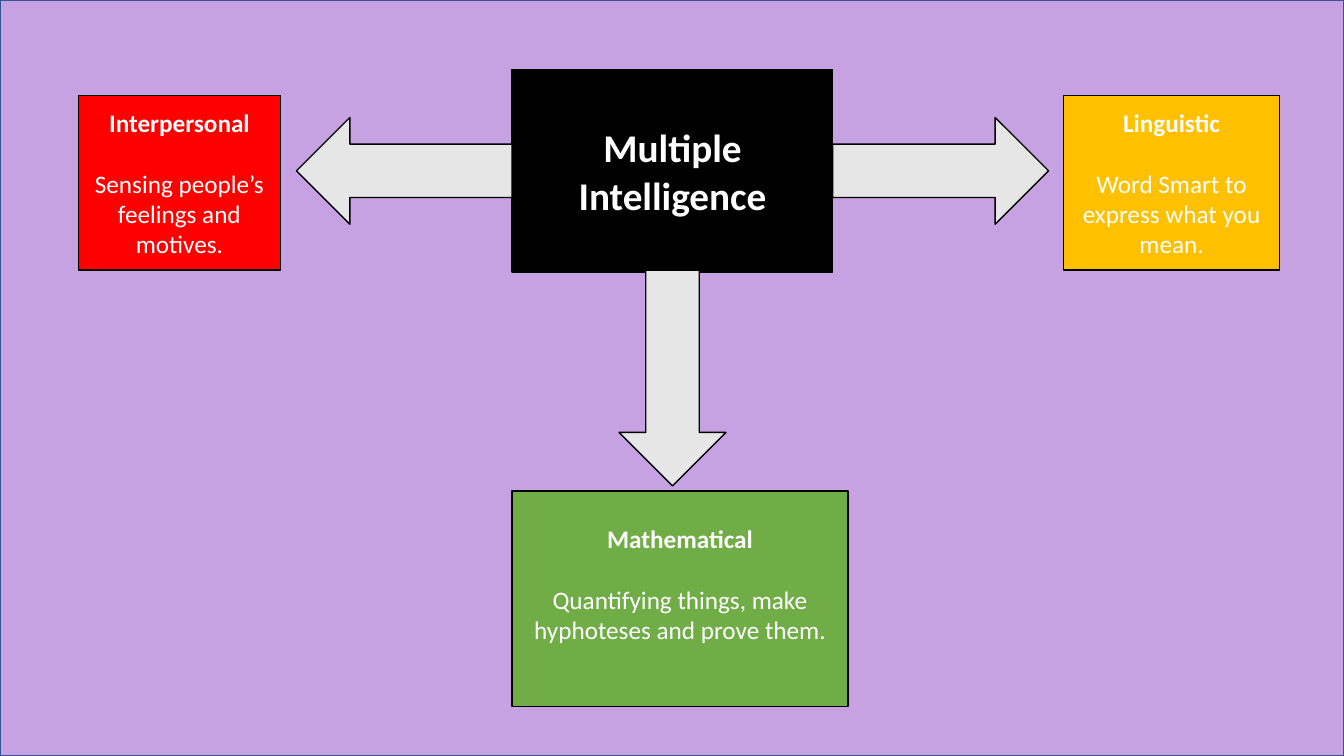
from lxml.etree import SubElement
from pptx import Presentation
from pptx.dml.color import RGBColor
from pptx.enum.shapes import MSO_SHAPE as SHAPE
from pptx.enum.text import MSO_ANCHOR as ANCHOR, MSO_AUTO_SIZE as AUTO_SIZE, PP_ALIGN as ALIGN
from pptx.oxml.ns import qn
from pptx.util import Inches, Pt

SLIDE_W, SLIDE_H = 13.33, 7.5
TITLE = "Multiple Intelligence"
TITLE_BOX = (5.08, 0.69, 3.18, 2.01)
# heading, description, fill, box, bottom inset
CARDS = [
    ("Linguistic", "Word Smart to express what you mean.",
     "FFC000", (10.55, 0.95, 2.14, 1.73), 0.05),
    ("Mathematical", "Quantifying things, make hyphoteses and prove them.",
     "70AD47", (5.08, 4.87, 3.33, 2.14), 0.35),
    ("Interpersonal", "Sensing people’s feelings and motives.",
     "FF0000", (0.78, 0.95, 2, 1.73), 0.05),
]
ARROW_W, ARROW_H = 2.14, 1.06
DOWN_ARROW_Y = 3.75


def color(hex_value):
    return RGBColor.from_string(hex_value)


def paint(sp, fill, line="000000"):
    sp.fill.solid()
    sp.fill.fore_color.rgb = color(fill)
    sp.line.color.rgb = color(line)
    sp.line.width = Pt(1)


def add_box(shapes, kind, box, fill, line="000000"):
    sp = shapes.add_shape(kind, *map(Inches, box))
    sp.shadow.inherit = False
    paint(sp, fill, line)
    return sp


def write(p, text, size, bold):
    p.alignment = ALIGN.CENTER
    p.line_spacing = 1.0
    p.space_before = Pt(0)
    r = p.add_run()
    r.text = text
    r.font.name = "Calibri"
    r.font.size = Pt(size)
    r.font.bold = bold
    r.font.color.rgb = color("FFFFFF")


def format_title(title):
    """Turn the title placeholder into the rounded central box."""
    title.left, title.top, title.width, title.height = map(Inches, TITLE_BOX)
    geometry = SubElement(title._element.spPr, qn("a:prstGeom"), prst="roundRect")
    SubElement(geometry, qn("a:avLst"))
    paint(title, "000000")
    tf = title.text_frame
    tf.word_wrap = True
    tf.auto_size = AUTO_SIZE.NONE
    tf.vertical_anchor = ANCHOR.MIDDLE
    write(tf.paragraphs[0], TITLE, 28, True)


def add_arrow(shapes, center_x, center_y, rotation):
    box = (center_x - ARROW_W / 2, center_y - ARROW_H / 2, ARROW_W, ARROW_H)
    add_box(shapes, SHAPE.RIGHT_ARROW, box, "E7E6E6").rotation = rotation


def add_card(shapes, heading, description, fill, box, bottom_inset):
    tf = add_box(shapes, SHAPE.RECTANGLE, box, fill).text_frame
    tf.word_wrap = True
    tf.vertical_anchor = ANCHOR.MIDDLE
    tf.margin_bottom = Inches(bottom_inset)
    write(tf.paragraphs[0], heading, 18, True)
    tf.paragraphs[0].space_after = Pt(22)
    write(tf.add_paragraph(), description, 18, False)


def main():
    prs = Presentation()
    prs.slide_width, prs.slide_height = Inches(SLIDE_W), Inches(SLIDE_H)
    s = prs.slides.add_slide(prs.slide_layouts[5])
    shapes = s.shapes

    backdrop = add_box(shapes, SHAPE.RECTANGLE, (0, 0, SLIDE_W, SLIDE_H), "C7A2E3", "325491")
    format_title(shapes.title)
    backdrop._element.addnext(shapes.title._element)  # title in front of the backdrop

    left, top, width, height = TITLE_BOX
    middle_x, middle_y = left + width / 2, top + height / 2
    reach = (width + ARROW_W) / 2
    add_arrow(shapes, middle_x + reach, middle_y, 0)
    add_arrow(shapes, middle_x - reach, middle_y, 180)
    add_arrow(shapes, middle_x, DOWN_ARROW_Y, 90)

    for card in CARDS:
        add_card(shapes, *card)
    prs.save("out.pptx")


if __name__ == "__main__":
    main()
